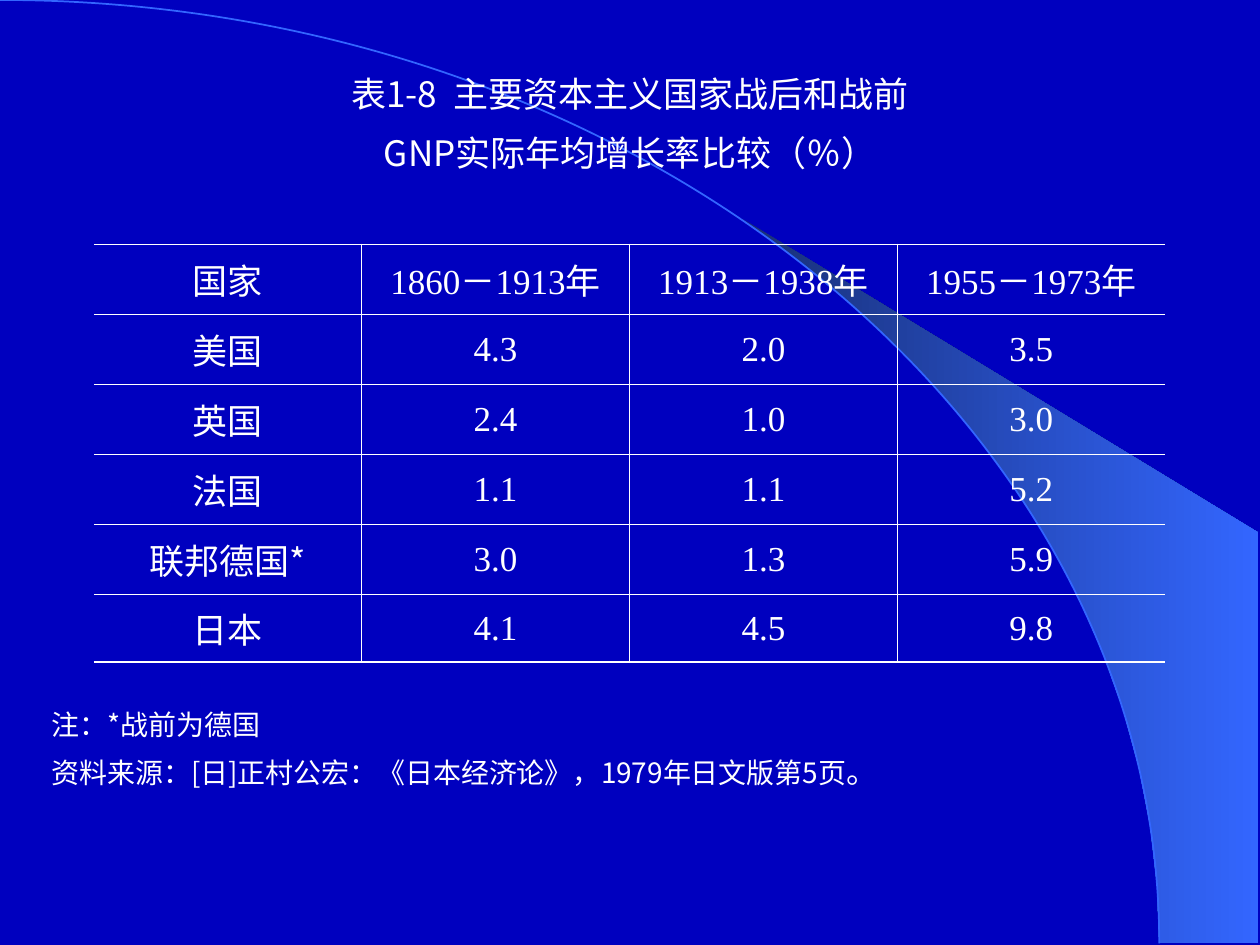
"""Build a slide with a table of GNP growth rates before and after the war."""
from copy import deepcopy
from math import asin, cos, pi, sin

from lxml import etree
from pptx import Presentation
from pptx import util as u
from pptx.dml.color import RGBColor
from pptx.enum import text
from pptx.oxml.ns import qn

NAVY = RGBColor(0x00, 0x00, 0xBF)
DARK_BLUE = RGBColor(0x18, 0x2F, 0x76)
BRIGHT_BLUE = RGBColor(0x33, 0x66, 0xFF)
WHITE = RGBColor(0xFF, 0xFF, 0xFF)
SANS, SERIF = "Noto Sans CJK SC", "Times New Roman"

TITLE = ["表1-8  主要资本主义国家战后和战前", "GNP实际年均增长率比较（％）"]
ROWS = [
    ("国家", "1860－1913年", "1913－1938年", "1955－1973年"),
    ("美国", "4.3", "2.0", "3.5"),
    ("英国", "2.4", "1.0", "3.0"),
    ("法国", "1.1", "1.1", "5.2"),
    ("联邦德国*", "3.0", "1.3", "5.9"),
    ("日本", "4.1", "4.5", "9.8"),
]
NOTE = "注：*战前为德国"
CITATION = "资料来源：[日]正村公宏：《日本经济论》，1979年日文版第5页"

ARC_WIDTH, ARC_HEIGHT = 23.37, 19.02
CURVE_RATIO = 0.55
WEDGE_LEFT, WEDGE_RIGHT, WEDGE_SIDE_TOP = 14.96, 25.37, 10.74
COLUMN_WIDTH = 5.4
ROW_HEIGHTS = [1.41] * (len(ROWS) - 1) + [1.37]
THIN, THICK = 0.45, 1.08


def write(paragraph, content, size=20, font=SANS, align=None, spacing=None, before=None):
    paragraph.alignment = align
    paragraph.line_spacing = spacing
    if before:
        paragraph.space_before = u.Pt(before)
    for index, line in enumerate(content.split("\n")):
        if index:
            paragraph.add_line_break()
        run = paragraph.add_run()
        run.text = line
        run.font.size = u.Pt(size)
        run.font.color.rgb = WHITE
        run.font.name = font
        properties = run._r.get_or_add_rPr()
        etree.SubElement(properties, qn("a:ea")).set("typeface", SANS)
    for line_break in paragraph._p.findall(qn("a:br")):
        line_break.append(deepcopy(properties))


def wedge_edge(steps=14):
    start = asin(WEDGE_LEFT / ARC_WIDTH)
    angles = [start + (pi / 2 - start) * step / steps for step in range(steps + 1)]
    return [(ARC_WIDTH * sin(a), ARC_HEIGHT * (1 - cos(a))) for a in angles]


def add_outline(slide, points, layer, close):
    points = [(u.Cm(x), u.Cm(y)) for x, y in points]
    builder = slide.shapes.build_freeform(*points[0])
    builder.add_line_segments(points[1:], close=close)
    shape = builder.convert_to_shape()
    shape.shadow.inherit = False
    slide.shapes._spTree.insert(layer, shape._element)
    return shape


def bend_into_arc(shape):
    segment = next(shape._element.iter(qn("a:lnTo")))
    curve = etree.Element(qn("a:cubicBezTo"))
    width, height = shape.width, shape.height
    controls = [(width * CURVE_RATIO, 0), (width, height * (1 - CURVE_RATIO)), (width, height)]
    for x, y in controls:
        point = etree.SubElement(curve, qn("a:pt"))
        point.set("x", str(round(x)))
        point.set("y", str(round(y)))
    segment.getparent().replace(segment, curve)


def add_backdrop(slide):
    slide.background.fill.solid()
    slide.background.fill.fore_color.rgb = NAVY
    corners = [(WEDGE_RIGHT, ARC_HEIGHT), (WEDGE_RIGHT, WEDGE_SIDE_TOP)]
    wedge = add_outline(slide, wedge_edge() + corners, layer=2, close=True)
    wedge.fill.gradient()
    wedge.fill.gradient_angle = 0
    for stop, color in zip(wedge.fill.gradient_stops, (DARK_BLUE, BRIGHT_BLUE)):
        stop.color.rgb = color
    wedge.line.fill.background()
    arc = add_outline(slide, [(0, 0), (ARC_WIDTH, ARC_HEIGHT)], layer=3, close=False)
    bend_into_arc(arc)
    arc.fill.background()
    arc.line.color.rgb = BRIGHT_BLUE
    arc.line.width = u.Pt(1)


def set_borders(cell, widths):
    properties = cell._tc.get_or_add_tcPr()
    for index, (side, width) in enumerate(widths.items()):
        line = etree.Element(qn(f"a:ln{side}"))
        if width:
            line.set("w", str(u.Pt(width)))
            fill = etree.SubElement(line, qn("a:solidFill"))
            etree.SubElement(fill, qn("a:srgbClr")).set("val", str(WHITE))
        else:
            etree.SubElement(line, qn("a:noFill"))
        properties.insert(index, line)


def add_growth_table(slide):
    row_count, column_count = len(ROWS), len(ROWS[0])
    table = slide.shapes.add_table(
        row_count, column_count, u.Cm(1.89), u.Cm(4.93),
        u.Cm(COLUMN_WIDTH * column_count), u.Cm(sum(ROW_HEIGHTS))).table
    table.first_row = table.horz_banding = False
    for column in table.columns:
        column.width = u.Cm(COLUMN_WIDTH)
    for row, values in enumerate(ROWS):
        table.rows[row].height = u.Cm(ROW_HEIGHTS[row])
        for column, value in enumerate(values):
            cell = table.cell(row, column)
            cell.fill.background()
            cell.vertical_anchor = text.MSO_ANCHOR.MIDDLE
            cell.margin_left = cell.margin_right = u.Cm(0.2)
            cell.margin_top = cell.margin_bottom = u.Cm(0.13)
            write(cell.text_frame.paragraphs[0], value, font=SERIF if column else SANS,
                  align=text.PP_ALIGN.CENTER, before=5)
            set_borders(cell, {
                "L": THIN if column else 0,
                "R": THIN if column < column_count - 1 else 0,
                "T": THIN if row else THICK,
                "B": THIN if row < row_count - 1 else THICK,
            })


def add_title(slide):
    title = slide.shapes.title
    title.left, title.top, title.width, title.height = map(u.Cm, (1.91, 0.72, 21.59, 3.18))
    frame = title.text_frame
    frame.auto_size = text.MSO_AUTO_SIZE.NONE
    frame.vertical_anchor = text.MSO_ANCHOR.MIDDLE
    write(frame.paragraphs[0], "\n".join(TITLE), align=text.PP_ALIGN.CENTER, spacing=1.4)


def add_notes_below(slide):
    box = slide.shapes.add_textbox(*map(u.Cm, (0.79, 13.93, 18.67, 2.13)))
    frame = box.text_frame
    frame.word_wrap = False
    frame.auto_size = text.MSO_AUTO_SIZE.SHAPE_TO_FIT_TEXT
    write(frame.paragraphs[0], NOTE, size=16, spacing=1.3)
    source = frame.add_paragraph()
    write(source, CITATION, size=16, spacing=1.3)
    write(source, "。", size=18, spacing=1.3)


def main():
    presentation = Presentation()
    presentation.slide_width, presentation.slide_height = u.Cm(25.4), u.Cm(19.05)
    slide = presentation.slides.add_slide(presentation.slide_layouts[5])
    add_backdrop(slide)
    add_title(slide)
    add_growth_table(slide)
    add_notes_below(slide)
    presentation.save("out.pptx")


if __name__ == "__main__":
    main()
